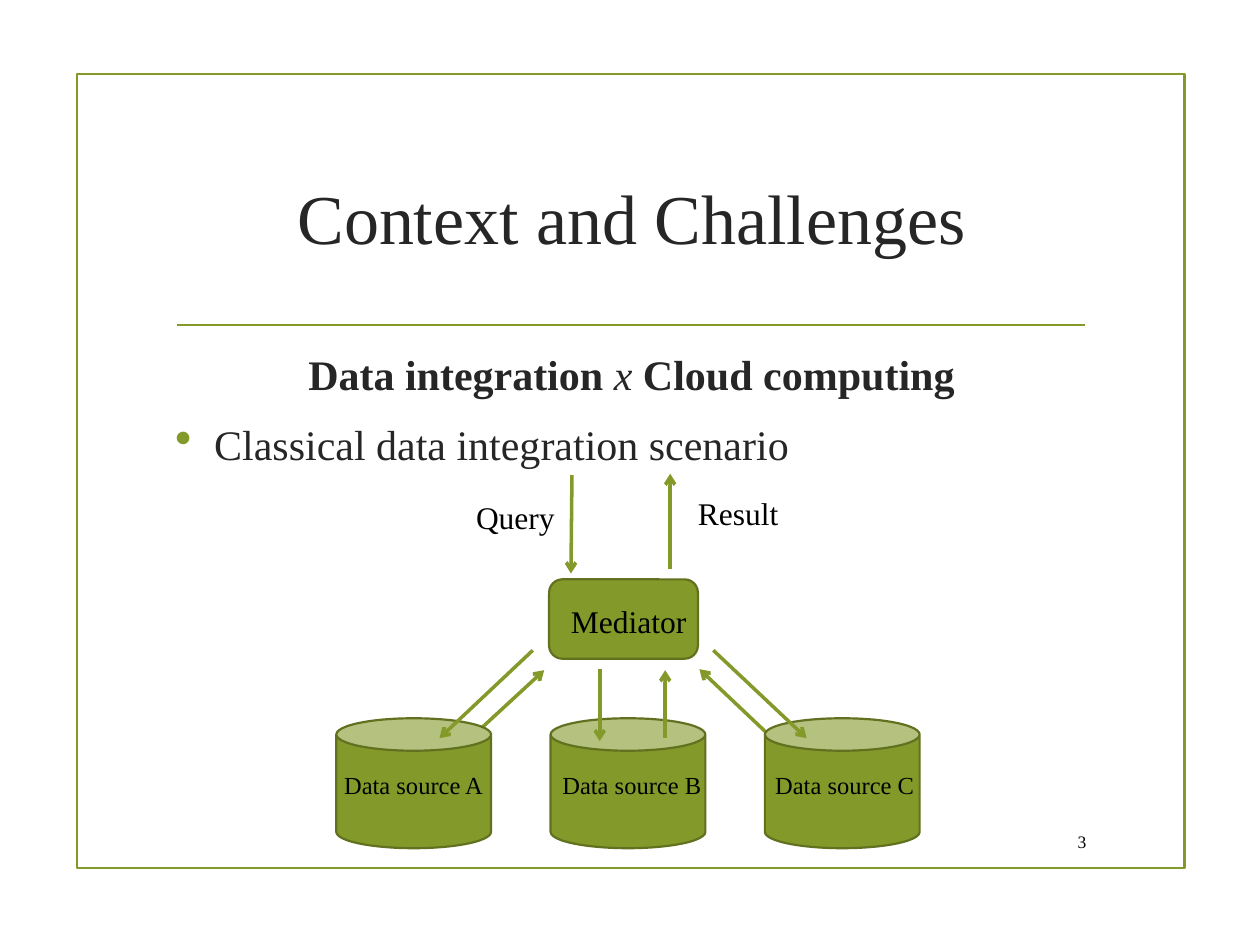
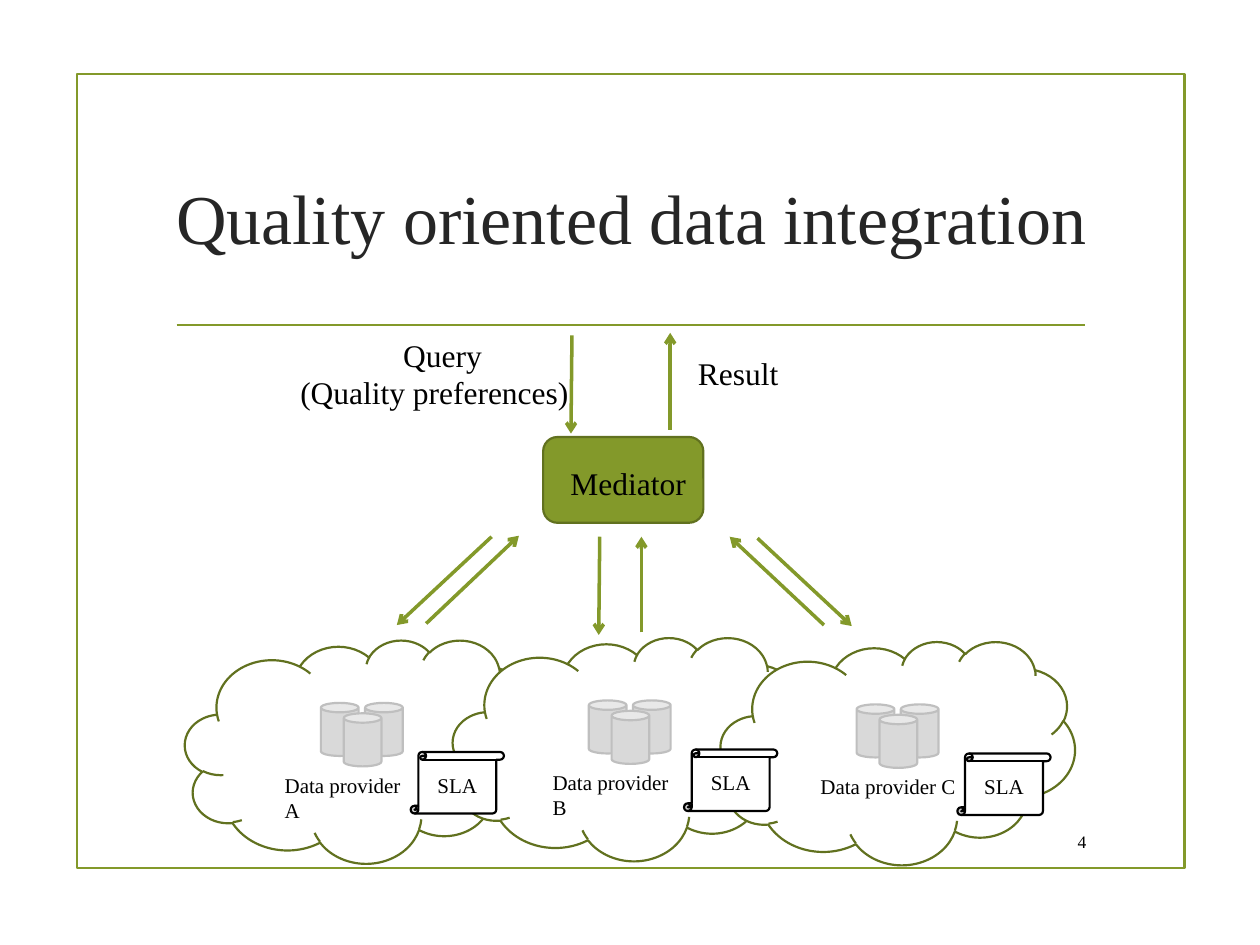
from lxml import etree
from pptx import Presentation
from pptx import util as u
from pptx.dml.color import RGBColor
from pptx.enum import shapes, text
from pptx.oxml import ns

Cm, Pt = u.Cm, u.Pt
PRESET, ALIGN, ANCHOR = shapes.MSO_SHAPE, text.PP_ALIGN, text.MSO_ANCHOR

COLOURS = {
    "green": "83992A", "dark green": "61711F", "title": "262626", "black": "000000",
    "white": "FFFFFF", "grey": "D9D9D9", "dark grey": "BFBFBF",
}
FONT = "Times New Roman"

# All places and sizes are in centimetres.
SLIDE_SIZE = (25.4, 19.05)
FRAME = (1.55, 1.5, 22.33, 16)
RULE = (3.56, 6.55, 21.87, 6.55)
TITLE_AREA = (3.28, 2.54, 18.9, 3.63)
BODY_AREA = (3.28, 6.91, 18.9, 9.58)
NUMBER_AREA = (21.06, 16.56, 1.09, 0.79)
CAPTION_SIZE = (7.62, 1.02)

BODY_HEADING = [("Data integration ", "b"), ("x", "i"), (" Cloud computing", "b")]
BODY_BULLET = "Classical data integration scenario"

CLASSICAL = {
    "title": "Context and Challenges",
    "number": "3",
    "mediator": (11.07, 11.68, 3, 1.6),
    "mediator label": (10.26, 12.01, 4.83, 0.66),
    "captions": [("Query", 6.58, 9.91), ("Result", 11.07, 9.83)],
    "arrows behind": [
        (9.42, 14.94, 10.97, 13.51), (15.98, 15.27, 14.1, 13.49),
    ],
    "arrows": [
        (11.53, 9.58, 11.51, 11.56), (13.51, 11.48, 13.51, 9.55),
        (12.09, 13.49, 12.09, 14.94), (13.41, 14.88, 13.41, 13.51),
        (10.74, 13.11, 8.86, 14.88), (14.38, 13.11, 16.26, 14.88),
    ],
}
SOURCES = [("Data source A", 5.38), ("Data source B", 9.78), ("Data source C", 14.07)]
SOURCE_LEFT, SOURCE_TOP, SOURCE_STEP = 6.78, 14.48, 4.32
SOURCE_SIZE = (3.12, 2.62)
SOURCE_LABEL_TOP, SOURCE_LABEL_SIZE = 15.39, (5.92, 0.86)

QUALITY = {
    "title": "Quality oriented data integration",
    "number": "4",
    "mediator": (10.95, 8.81, 3.23, 1.73),
    "mediator label": (10.06, 9.22, 5.21, 0.71),
    "captions": [("Query", 5.11, 6.65), ("(Quality preferences)", 4.95, 7.39),
                 ("Result", 11.07, 7.01)],
    "arrows": [
        (11.53, 6.76, 11.51, 8.74), (13.51, 8.66, 13.51, 6.71),
        (12.09, 10.82, 12.07, 12.8), (12.93, 12.75, 12.93, 10.82),
        (9.91, 10.82, 8, 12.6), (8.59, 12.57, 10.46, 10.8),
        (16.61, 12.6, 14.71, 10.82), (15.27, 10.85, 17.17, 12.62),
    ],
}
# label, cloud top, label width
PROVIDERS = [
    ("Data provider A", 12.9, 2.96),
    ("Data provider B", 12.85, 2.96),
    ("Data provider C", 12.93, 3.61),
]
CLOUD_LEFT, CLOUD_STEP, CLOUD_SIZE = 3.73, 5.4, (7.14, 4.5)
STORE_OFFSETS, STORE_SIZE = [(2.74, 1.27), (3.63, 1.27), (3.2, 1.48)], (0.76, 1.07)
PROVIDER_OFFSET, PROVIDER_HEIGHT = (1.76, 2.54), 0.71
SLA_LEFT, SLA_STEP, SLA_DROP, SLA_SIZE = 8.28, 5.51, 2.26, (1.88, 1.24)


def rgb(name):
    return RGBColor.from_string(COLOURS[name])


def write(paragraph, content, size=18, colour="black", align=ALIGN.CENTER,
          before=None, after=None, bullet=None):
    """Fill a paragraph from a string or from (text, style letters) runs."""
    paragraph.alignment = align
    if before is not None:
        paragraph.space_before = Pt(before)
    if after is not None:
        paragraph.space_after = Pt(after)
    if bullet:
        properties = paragraph._p.get_or_add_pPr()
        properties.set("marL", str(Cm(0.79)))
        properties.set("indent", str(-Cm(0.79)))
        bullet_colour = etree.SubElement(properties, ns.qn("a:buClr"))
        etree.SubElement(bullet_colour, ns.qn("a:srgbClr"), val=COLOURS["green"])
        etree.SubElement(properties, ns.qn("a:buSzPct"), val="115000")
        etree.SubElement(properties, ns.qn("a:buChar"), char=bullet)
    for words, style in [(content, "")] if isinstance(content, str) else content:
        run = paragraph.add_run()
        run.text = words
        run.font.name, run.font.size = FONT, Pt(size)
        run.font.color.rgb = rgb(colour)
        run.font.bold, run.font.italic = "b" in style, "i" in style


def add_label(slide, area, content, anchor=ANCHOR.TOP, side_margin=0.25, **style):
    frame = slide.shapes.add_textbox(*map(Cm, area)).text_frame
    frame.word_wrap = True
    frame.vertical_anchor = anchor
    frame.margin_left = frame.margin_right = Cm(side_margin)
    write(frame.paragraphs[0], content, **style)
    return frame


def add_block(slide, preset, area, fill="green", line="dark green"):
    block = slide.shapes.add_shape(preset, *map(Cm, area))
    block.shadow.inherit = False
    if fill:
        block.fill.solid()
        block.fill.fore_color.rgb = rgb(fill)
    else:
        block.fill.background()
    block.line.color.rgb = rgb(line)
    block.line.width = Pt(1.25)
    return block


def add_line(slide, ends, width=2.0, arrow=True):
    connector = slide.shapes.add_connector(shapes.MSO_CONNECTOR.STRAIGHT, *map(Cm, ends))
    connector.line.color.rgb = rgb("green")
    connector.line.width = Pt(width)
    if arrow:
        etree.SubElement(connector.line._get_or_add_ln(), ns.qn("a:tailEnd"), type="arrow")
    etree.SubElement(connector._element.spPr, ns.qn("a:effectLst"))


def add_base(deck, content):
    """Add a slide with the shared frame, rule, title and number."""
    slide = deck.slides.add_slide(deck.slide_layouts[6])
    add_block(slide, PRESET.RECTANGLE, FRAME, fill=None, line="green")
    add_line(slide, RULE, width=1.25, arrow=False)
    add_label(slide, TITLE_AREA, content["title"], anchor=ANCHOR.MIDDLE,
              side_margin=0, size=40, colour="title")
    add_label(slide, NUMBER_AREA, content["number"], anchor=ANCHOR.MIDDLE,
              size=10, align=ALIGN.RIGHT)
    return slide


def add_mediation(slide, content):
    """Add the mediator with its captions and the arrows in front."""
    add_block(slide, PRESET.ROUNDED_RECTANGLE, content["mediator"])
    add_label(slide, content["mediator label"], "Mediator")
    for caption, left, top in content["captions"]:
        add_label(slide, (left, top, *CAPTION_SIZE), caption)
    for ends in content["arrows"]:
        add_line(slide, ends)


def build_classical(deck):
    slide = add_base(deck, CLASSICAL)
    body = add_label(slide, BODY_AREA, BODY_HEADING, size=24, colour="title", after=6)
    write(body.add_paragraph(), BODY_BULLET, size=24, colour="title",
          align=ALIGN.LEFT, before=5, after=6, bullet="•")
    for ends in CLASSICAL["arrows behind"]:
        add_line(slide, ends)
    for i, (source, label_left) in enumerate(SOURCES):
        add_block(slide, PRESET.CAN,
                  (SOURCE_LEFT + i * SOURCE_STEP, SOURCE_TOP, *SOURCE_SIZE))
        add_label(slide, (label_left, SOURCE_LABEL_TOP, *SOURCE_LABEL_SIZE), source, size=14)
    add_mediation(slide, CLASSICAL)


def build_quality(deck):
    slide = add_base(deck, QUALITY)
    for i, (provider, top, label_width) in enumerate(PROVIDERS):
        left = CLOUD_LEFT + i * CLOUD_STEP
        add_block(slide, PRESET.CLOUD, (left, top, *CLOUD_SIZE), fill="white")
        for dx, dy in STORE_OFFSETS:
            add_block(slide, PRESET.CAN, (left + dx, top + dy, *STORE_SIZE),
                      fill="grey", line="dark grey")
        dx, dy = PROVIDER_OFFSET
        add_label(slide, (left + dx, top + dy, label_width, PROVIDER_HEIGHT), provider,
                  size=12, align=ALIGN.LEFT)
    add_mediation(slide, QUALITY)
    for i, (_, top, _) in enumerate(PROVIDERS):
        area = (SLA_LEFT + i * SLA_STEP, top + SLA_DROP, *SLA_SIZE)
        sla = add_block(slide, PRESET.VERTICAL_SCROLL, area, fill="white", line="black")
        frame = sla.text_frame
        frame.vertical_anchor = ANCHOR.MIDDLE
        frame.margin_left = frame.margin_right = 0
        write(frame.paragraphs[0], "SLA", size=12)


def main():
    deck = Presentation()
    deck.slide_width, deck.slide_height = map(Cm, SLIDE_SIZE)
    build_classical(deck)
    build_quality(deck)
    deck.save("out.pptx")


if __name__ == "__main__":
    main()
